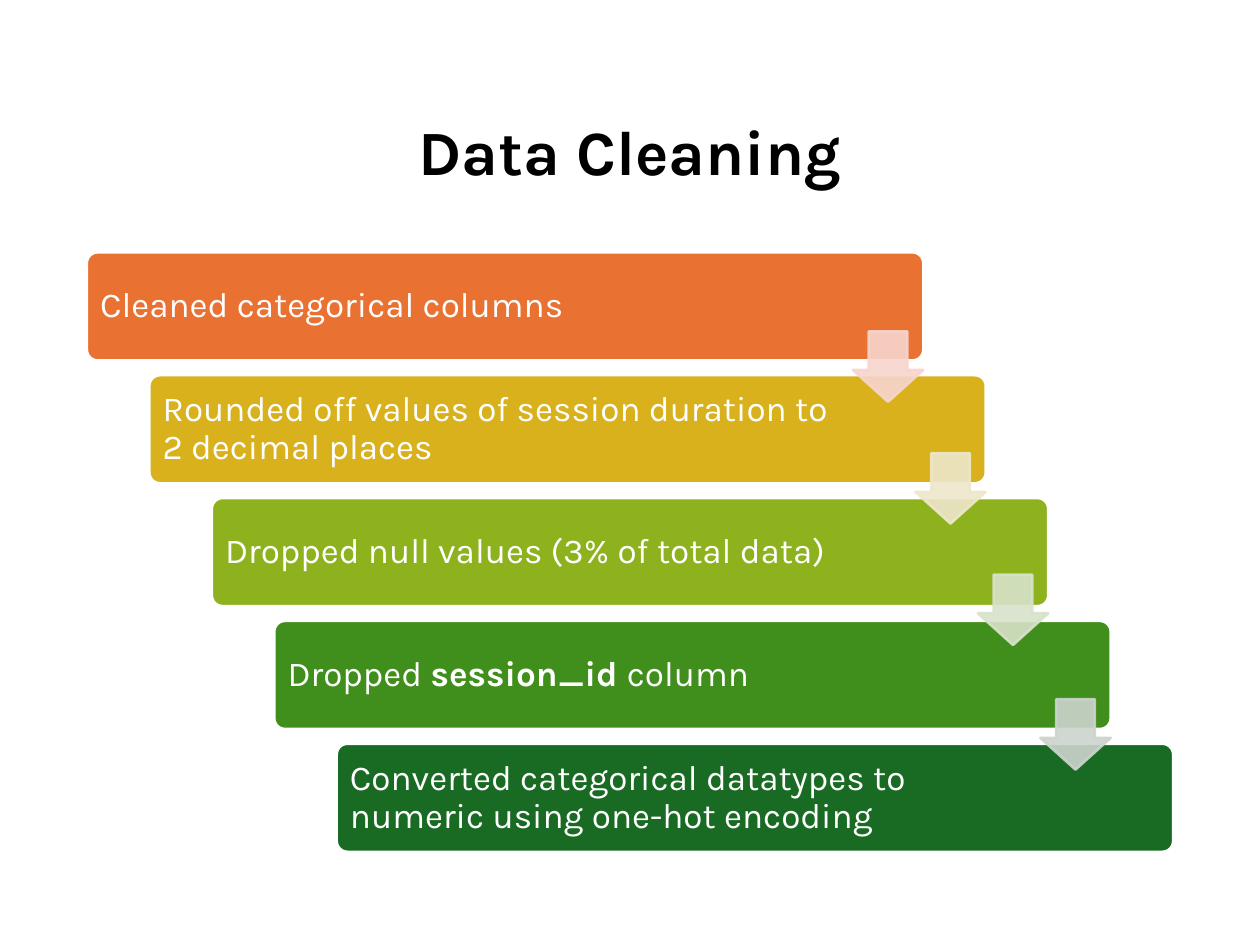
from lxml import etree
from pptx import Presentation
from pptx.dml.color import RGBColor
from pptx.enum import shapes, text
from pptx.oxml.ns import qn
from pptx.util import Pt

FONT = "Karla"
BLACK = RGBColor(0x00, 0x00, 0x00)
WHITE = RGBColor(0xFF, 0xFF, 0xFF)
ORANGE = RGBColor(0xE9, 0x71, 0x32)
GOLD = RGBColor(0xD8, 0xB1, 0x1D)
LIME = RGBColor(0x8E, 0xB2, 0x1E)
GREEN = RGBColor(0x40, 0x8E, 0x1C)
DARK_GREEN = RGBColor(0x19, 0x6B, 0x24)
PALE_ORANGE = RGBColor(0xF7, 0xD5, 0xCE)
PALE_GOLD = RGBColor(0xEE, 0xE7, 0xCB)
PALE_LIME = RGBColor(0xD8, 0xE2, 0xCA)
PALE_GREEN = RGBColor(0xCC, 0xD4, 0xCD)

# Each step: its (words, bold) runs and its bar colour
STEPS = [
    ([("Cleaned categorical columns", False)], ORANGE),
    ([("Rounded off values of session duration to 2 decimal places", False)], GOLD),
    ([("Dropped null values (3% of total data)", False)], LIME),
    ([("Dropped ", False), ("session_id ", True), ("column", False)], GREEN),
    ([("Converted categorical datatypes to numeric using one-hot encoding", False)],
     DARK_GREEN),
]
# Each arrow: its top and colour
ARROWS = [(189.4, PALE_ORANGE), (259, PALE_GOLD), (328.4, PALE_LIME), (399.6, PALE_GREEN)]

LEFT, TOP = 49.6, 144.2
STEP_X, STEP_Y = 35.7, 70.2
BAR_WIDTH, BAR_HEIGHT = 478, 61.8
ARROW_SIZE = 40.2


def add_text(slide, left, top, width, height, runs, *, size, color,
             align=text.PP_ALIGN.LEFT, inset=5.8):
    box = slide.shapes.add_textbox(Pt(left), Pt(top), Pt(width), Pt(height))
    frame = box.text_frame
    frame.word_wrap = True
    frame.vertical_anchor = text.MSO_ANCHOR.MIDDLE
    frame.margin_left = frame.margin_right = Pt(inset)
    frame.margin_top = frame.margin_bottom = Pt(inset)
    paragraph = frame.paragraphs[0]
    paragraph.alignment = align
    paragraph.line_spacing = 0.9
    for words, bold in runs:
        run = paragraph.add_run()
        run.text = words
        run.font.name = FONT
        run.font.size = Pt(size)
        run.font.bold = bold
        run.font.color.rgb = color


def add_block(slide, kind, left, top, width, height, fill, line, adjustments):
    shape = slide.shapes.add_shape(kind, Pt(left), Pt(top), Pt(width), Pt(height))
    shape.shadow.inherit = False
    shape.fill.solid()
    shape.fill.fore_color.rgb = fill
    shape.line.color.rgb = line
    shape.line.width = Pt(1.5)
    for index, value in enumerate(adjustments):
        shape.adjustments[index] = value
    return shape


def set_opacity(shape, percent):
    """Apply the opacity to both the fill and the line."""
    for color in shape.element.spPr.iter(qn("a:srgbClr")):
        etree.SubElement(color, qn("a:alpha")).set("val", str(percent * 1000))


def add_step(slide, index, runs, color):
    left, top = LEFT + index * STEP_X, TOP + index * STEP_Y
    add_block(slide, shapes.MSO_SHAPE.ROUNDED_RECTANGLE, left, top,
              BAR_WIDTH, BAR_HEIGHT, color, WHITE, [0.1])
    add_text(slide, left + 1.8, top + 1.8, 399, BAR_HEIGHT - 3.6, runs,
             size=20, color=WHITE)


def add_arrow(slide, index, top, color):
    left = LEFT + BAR_WIDTH - ARROW_SIZE + index * STEP_X
    arrow = add_block(slide, shapes.MSO_SHAPE.DOWN_ARROW, left, top,
                      ARROW_SIZE, ARROW_SIZE, color, color, [0.55, 0.45])
    set_opacity(arrow, 90)


def main():
    presentation = Presentation()
    presentation.slide_width, presentation.slide_height = Pt(720), Pt(540)
    slide = presentation.slides.add_slide(presentation.slide_layouts[6])
    add_text(slide, LEFT, 44, 720 - 2 * LEFT, 89.2, [("Data Cleaning", True)],
             size=36, color=BLACK, align=text.PP_ALIGN.CENTER)
    for index, (runs, color) in enumerate(STEPS):
        add_step(slide, index, runs, color)
    for index, (top, color) in enumerate(ARROWS):
        add_arrow(slide, index, top, color)
    presentation.save("out.pptx")


if __name__ == "__main__":
    main()
